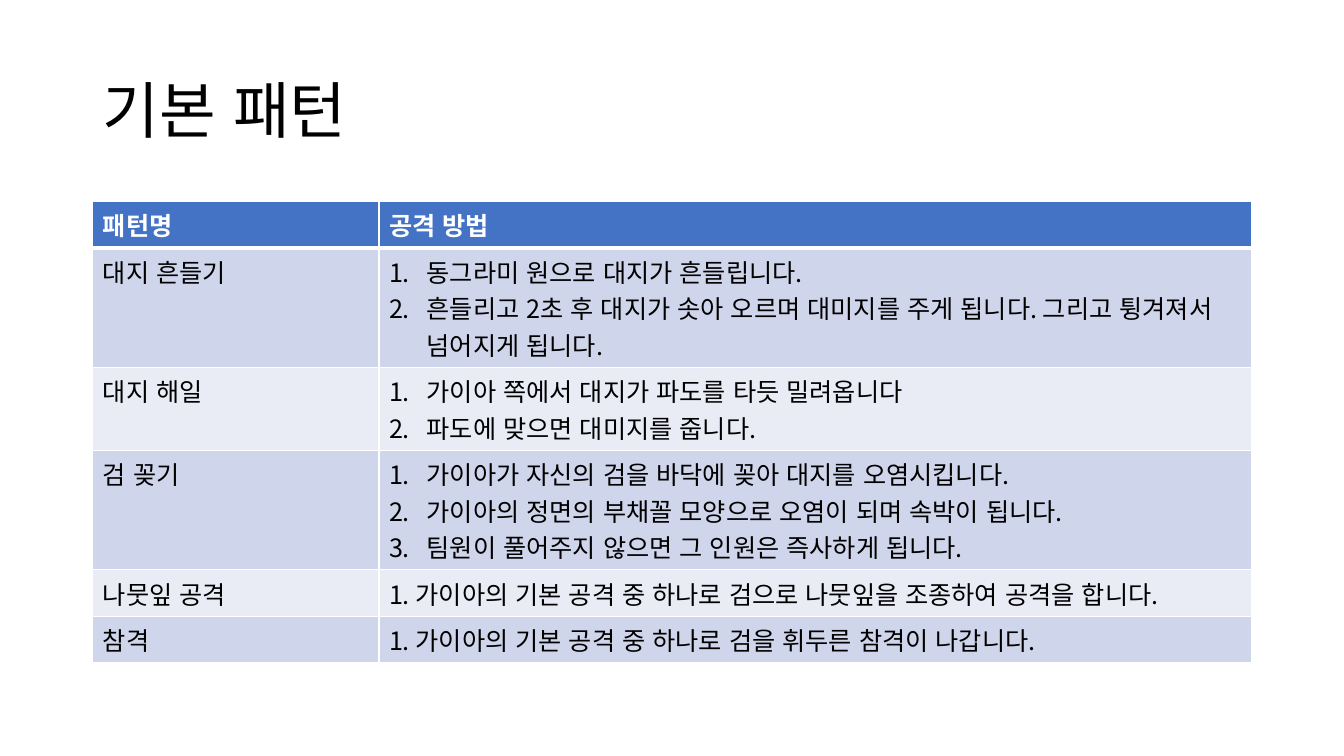
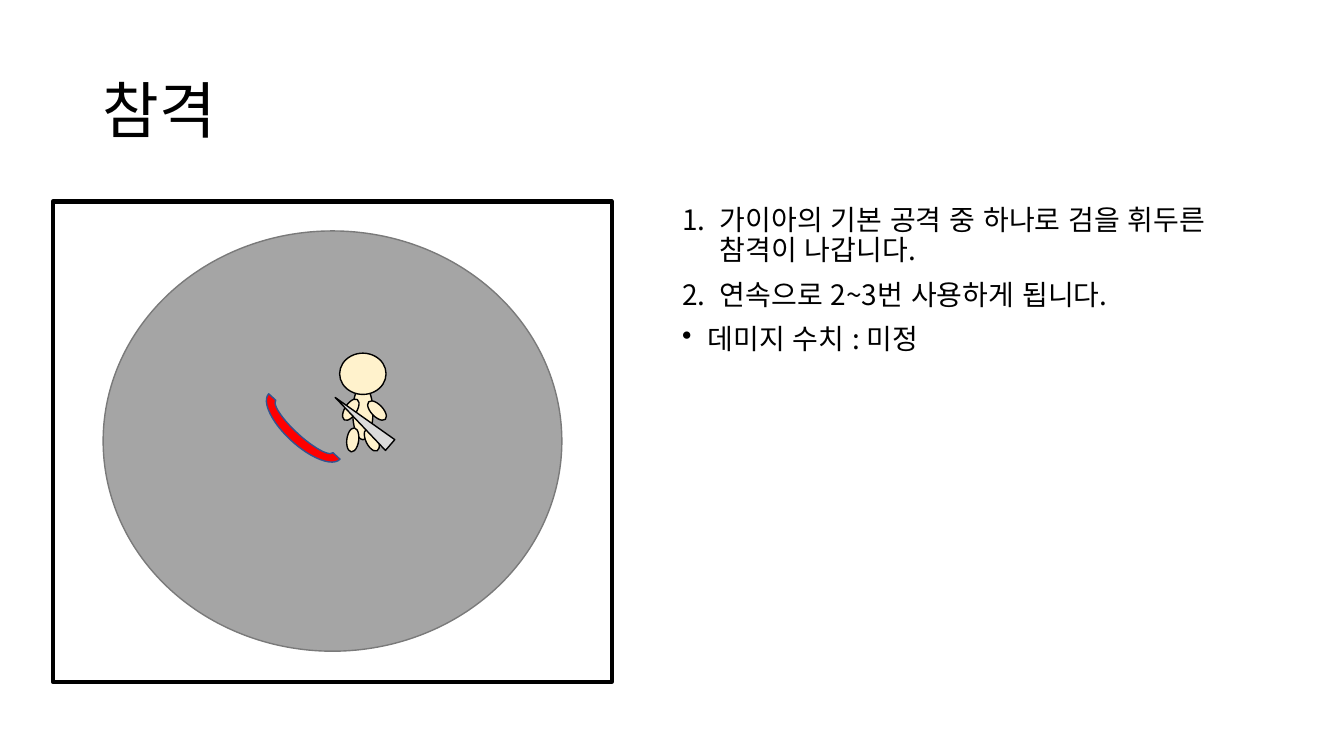
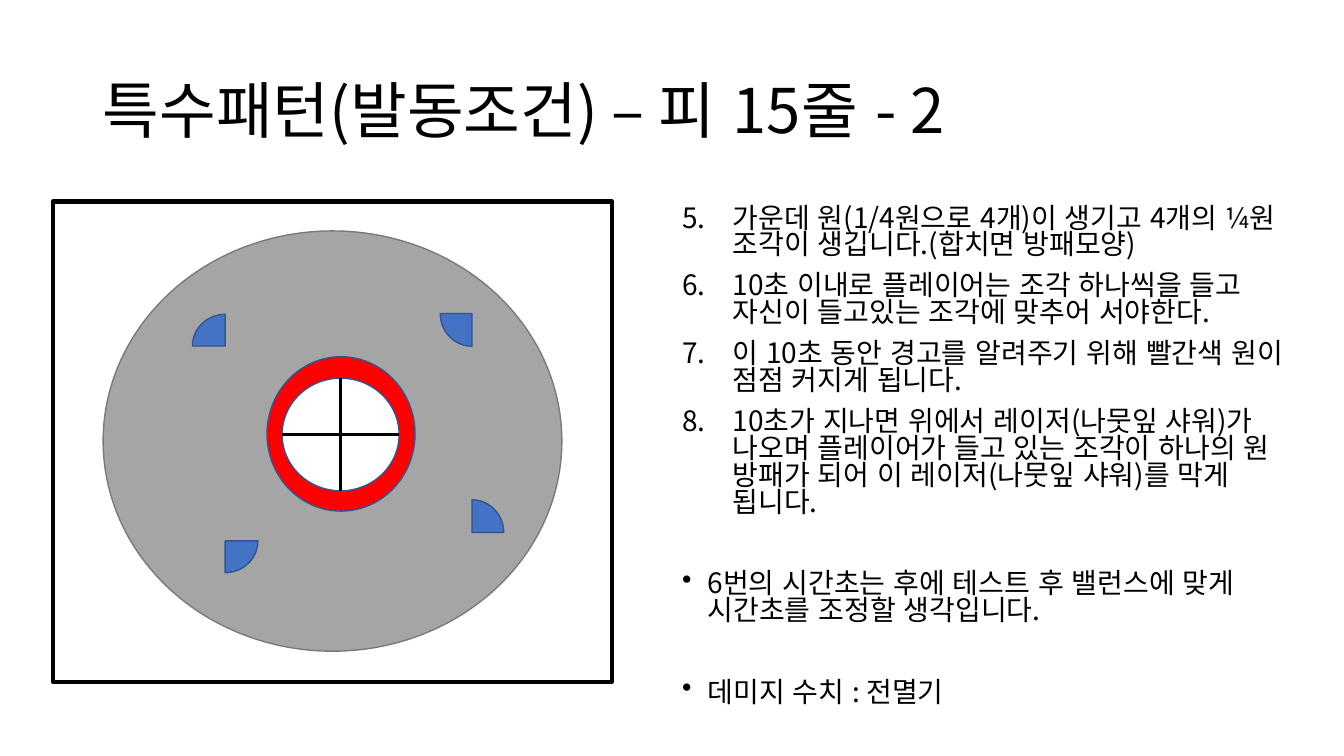
from lxml.etree import SubElement
from pptx import Presentation
from pptx.dml.color import RGBColor
from pptx.enum.lang import MSO_LANGUAGE_ID
from pptx.enum.shapes import MSO_CONNECTOR, MSO_SHAPE
from pptx.enum.text import MSO_ANCHOR
from pptx.oxml.ns import qn
from pptx.util import Cm, Pt

FONT = "Noto Sans CJK KR"
BLACK = RGBColor(0x00, 0x00, 0x00)
WHITE = RGBColor(0xFF, 0xFF, 0xFF)
BLUE = RGBColor(0x44, 0x72, 0xC4)
DARK_BLUE = RGBColor(0x32, 0x54, 0x91)
BAND_DARK = RGBColor(0xCF, 0xD5, 0xEA)
BAND_LIGHT = RGBColor(0xE9, 0xEB, 0xF5)
GRAY = RGBColor(0xA5, 0xA5, 0xA5)
DARK_GRAY = RGBColor(0x7A, 0x7A, 0x7A)
SKIN = RGBColor(0xFF, 0xF2, 0xCC)
STEEL = RGBColor(0xDB, 0xDB, 0xDB)
RED = RGBColor(0xFF, 0x00, 0x00)

TITLE_BOX = (2.34, 1.02, 29.21, 3.68)
TABLE_BOX = (2.34, 5.08, 29.21, 11.62)
ARENA_BOX = (1.33, 5.08, 14.09, 12.1)
SLASH_NOTES_BOX = (16.94, 5.08, 14.61, 12.09)
SPECIAL_NOTES_BOX = (16.94, 5.08, 16.1, 13.79)

ROW_LINES = [1, 3, 2, 3, 1, 1]
PATTERNS = [
    ("대지 흔들기", ["동그라미 원으로 대지가 흔들립니다.",
                "흔들리고 2초 후 대지가 솟아 오르며 대미지를 주게 됩니다. "
                "그리고 튕겨져서 넘어지게 됩니다."]),
    ("대지 해일", ["가이아 쪽에서 대지가 파도를 타듯 밀려옵니다",
               "파도에 맞으면 대미지를 줍니다."]),
    ("검 꽂기", ["가이아가 자신의 검을 바닥에 꽂아 대지를 오염시킵니다.",
              "가이아의 정면의 부채꼴 모양으로 오염이 되며 속박이 됩니다.",
              "팀원이 풀어주지 않으면 그 인원은 즉사하게 됩니다."]),
    ("나뭇잎 공격", ["1. 가이아의 기본 공격 중 하나로 검으로 나뭇잎을 조종하여 공격을 합니다."]),
    ("참격", ["1. 가이아의 기본 공격 중 하나로 검을 휘두른 참격이 나갑니다."]),
]
SLASH_STEPS = [
    "가이아의 기본 공격 중 하나로 검을 휘두른 참격이 나갑니다.",
    "연속으로 2~3번 사용하게 됩니다.",
]
SPECIAL_STEPS = [
    "가운데 원(1/4원으로 4개)이 생기고 4개의 ¼원 조각이 생깁니다.(합치면 방패모양)",
    "10초 이내로 플레이어는 조각 하나씩을 들고 자신이 들고있는 조각에 맞추어 서야한다.",
    "이 10초 동안 경고를 알려주기 위해 빨간색 원이 점점 커지게 됩니다.",
    "10초가 지나면 위에서 레이저(나뭇잎 샤워)가 나오며 플레이어가 들고 있는 조각이 "
    "하나의 원 방패가 되어 이 레이저(나뭇잎 샤워)를 막게 됩니다.",
]
SPECIAL_REMARKS = [
    "6번의 시간초는 후에 테스트 후 밸런스에 맞게 시간초를 조정할 생각입니다.",
    "데미지 수치 : 전멸기",
]


def style(paragraph, size, color=BLACK, bold=False):
    """Set the font of a paragraph for Latin and Korean text."""
    font = paragraph.font
    font.size, font.bold, font.name = Pt(size), bold, FONT
    font.language_id = MSO_LANGUAGE_ID.KOREAN
    font.color.rgb = color
    properties = paragraph._p.get_or_add_pPr().find(qn("a:defRPr"))
    SubElement(properties, qn("a:ea"), typeface=FONT)
    for run in paragraph.runs:
        run.font.language_id = MSO_LANGUAGE_ID.KOREAN


def add_marker(paragraph, indent, start=None):
    """Hang a paragraph behind a number, or a bullet if start is None."""
    properties = paragraph._p.get_or_add_pPr()
    properties.set("marL", str(Cm(indent)))
    properties.set("indent", str(-Cm(indent)))
    if start is None:
        marker = SubElement(properties, qn("a:buChar"), char="•")
    else:
        marker = SubElement(properties, qn("a:buAutoNum"), type="arabicPeriod", startAt=str(start))
    properties.insert_element_before(marker, "a:defRPr")


def fill_lines(frame, lines):
    """Write one paragraph per line and return the paragraphs."""
    frame.text = "\n".join(lines)
    return frame.paragraphs


def add_frame(slide, box):
    """Add a wrapping text box and return its text frame."""
    frame = slide.shapes.add_textbox(*map(Cm, box)).text_frame
    frame.word_wrap = True
    return frame


def add_title(slide, text):
    """Write the slide title."""
    frame = add_frame(slide, TITLE_BOX)
    frame.vertical_anchor = MSO_ANCHOR.MIDDLE
    title, = fill_lines(frame, [text])
    title.line_spacing = 0.9
    style(title, 44)


def add_notes(slide, box, steps, remarks, indent, spacing, start=1, remark_gap=10):
    """Write numbered steps followed by bulleted remarks."""
    paragraphs = fill_lines(add_frame(slide, box), steps + remarks)
    for index, paragraph in enumerate(paragraphs):
        is_step = index < len(steps)
        paragraph.line_spacing = spacing
        paragraph.space_before = Pt(10 if is_step else remark_gap)
        style(paragraph, 20)
        add_marker(paragraph, indent if is_step else 0.64, start if is_step else None)


def set_borders(cell, row):
    """Draw white cell borders, thick between header and body."""
    widths = {"lnL": 1, "lnR": 1, "lnT": 3 if row == 1 else 1, "lnB": 3 if row == 0 else 1}
    properties = cell._tc.get_or_add_tcPr()
    for index, (side, width) in enumerate(widths.items()):
        border = SubElement(properties, qn(f"a:{side}"), w=str(Pt(width)))
        fill = SubElement(border, qn("a:solidFill"))
        SubElement(fill, qn("a:srgbClr"), val=str(WHITE))
        properties.insert(index, border)


def add_pattern_table(slide, box):
    """Add the table of attack patterns."""
    rows = [("패턴명", ["공격 방법"])] + PATTERNS
    table = slide.shapes.add_table(len(rows), 2, *map(Cm, box)).table
    name_width = 7.21
    table.columns[0].width = Cm(name_width)
    table.columns[1].width = Cm(box[2] - name_width)
    for row, (name, methods) in enumerate(rows):
        is_header = row == 0
        band = BLUE if is_header else BAND_DARK if row % 2 else BAND_LIGHT
        table.rows[row].height = Cm(0.25 + 0.92 * ROW_LINES[row])
        for column, lines in enumerate(([name], methods)):
            cell = table.cell(row, column)
            cell.fill.solid()
            cell.fill.fore_color.rgb = band
            set_borders(cell, row)
            for paragraph in fill_lines(cell.text_frame, lines):
                style(paragraph, 18, WHITE if is_header else BLACK, is_header)
                if len(lines) > 1:
                    add_marker(paragraph, 0.95, 1)


def add_part(slide, kind, box, fill, line, width=1, rotation=0):
    """Add a preset shape placed relative to the arena."""
    left, top, *size = box
    shape = slide.shapes.add_shape(
        kind, Cm(ARENA_BOX[0] + left), Cm(ARENA_BOX[1] + top), *map(Cm, size))
    shape.shadow.inherit = False
    shape.rotation = rotation
    if fill is None:
        shape.fill.background()
    else:
        shape.fill.solid()
        shape.fill.fore_color.rgb = fill
    shape.line.color.rgb = line
    shape.line.width = Pt(width)
    return shape


def add_arena(slide):
    """Draw the framed round battlefield."""
    add_part(slide, MSO_SHAPE.RECTANGLE, (0, 0, *ARENA_BOX[2:]), None, BLACK, 3)
    add_part(slide, MSO_SHAPE.OVAL, (1.27, 0.74, 11.56, 10.59), GRAY, DARK_GRAY)


def add_fighter(slide):
    """Draw the fighter, the sword and the slash."""
    torso, head = (7.56, 4.63, 0.51, 1.37), (7.23, 3.82, 1.17, 1.04)
    for body_part in (torso, head):
        add_part(slide, MSO_SHAPE.OVAL, body_part, SKIN, BLACK)
    limbs = [(7.36, 4.94, 32.6), (8.02, 4.96, 136.5), (7.89, 5.7, 154.1), (7.41, 5.7, 7.4)]
    for left, top, rotation in limbs:
        add_part(slide, MSO_SHAPE.OVAL, (left, top, 0.3, 0.61), SKIN, BLACK, rotation=rotation)
    sword, slash = (7.63, 4.62, 0.36, 1.83), (5.12, 5.18, 2.44, 0.97)
    add_part(slide, MSO_SHAPE.ISOSCELES_TRIANGLE, sword, STEEL, BLACK, rotation=310.9)
    add_part(slide, MSO_SHAPE.BLOCK_ARC, slash, RED, DARK_BLUE, rotation=222.5)


def add_cross(slide, box):
    """Draw the two lines that quarter a box of the arena."""
    left, top, width, height = box
    left, top = ARENA_BOX[0] + left, ARENA_BOX[1] + top
    middle_x, middle_y = left + width / 2, top + height / 2
    for ends in ((left, middle_y, left + width, middle_y),
                 (middle_x, top, middle_x, top + height)):
        line = slide.shapes.add_connector(MSO_CONNECTOR.STRAIGHT, *map(Cm, ends))
        line.line.color.rgb = BLACK
        line.line.width = Pt(2.25)
        SubElement(line._element.spPr, qn("a:effectLst"))


def add_shield(slide):
    """Draw the warning ring, the quartered circle and its four pieces."""
    circle = (5.78, 4.45, 2.95, 2.84)
    add_part(slide, MSO_SHAPE.OVAL, (5.4, 3.91, 3.73, 3.89), RED, DARK_BLUE)
    add_part(slide, MSO_SHAPE.OVAL, circle, WHITE, DARK_BLUE)
    pieces = [(3.52, 2.84, 0), (9.74, 7.54, 90), (9.74, 2.02, 270), (3.52, 7.75, 180)]
    for left, top, rotation in pieces:
        piece = add_part(slide, MSO_SHAPE.PIE, (left, top, 1.65, 1.6), BLUE, DARK_BLUE,
                         rotation=rotation)
        piece.adjustments[0] = 108
        piece.adjustments[1] = 162
    add_cross(slide, circle)


def add_slide(deck, title):
    """Add a blank slide with a title."""
    slide = deck.slides.add_slide(deck.slide_layouts[6])
    add_title(slide, title)
    return slide


def main():
    """Build and save the presentation."""
    deck = Presentation()
    deck.slide_width, deck.slide_height = Cm(33.87), Cm(19.05)

    add_pattern_table(add_slide(deck, "기본 패턴"), TABLE_BOX)

    slash = add_slide(deck, "참격")
    add_notes(slash, SLASH_NOTES_BOX, SLASH_STEPS, ["데미지 수치 : 미정"], 0.95, 0.9)
    add_arena(slash)
    add_fighter(slash)

    special = add_slide(deck, "특수패턴(발동조건) – 피 15줄 - 2")
    add_notes(special, SPECIAL_NOTES_BOX, SPECIAL_STEPS, SPECIAL_REMARKS, 1.27, 0.8,
              start=5, remark_gap=39)
    add_arena(special)
    add_shield(special)

    deck.save("out.pptx")


if __name__ == "__main__":
    main()
